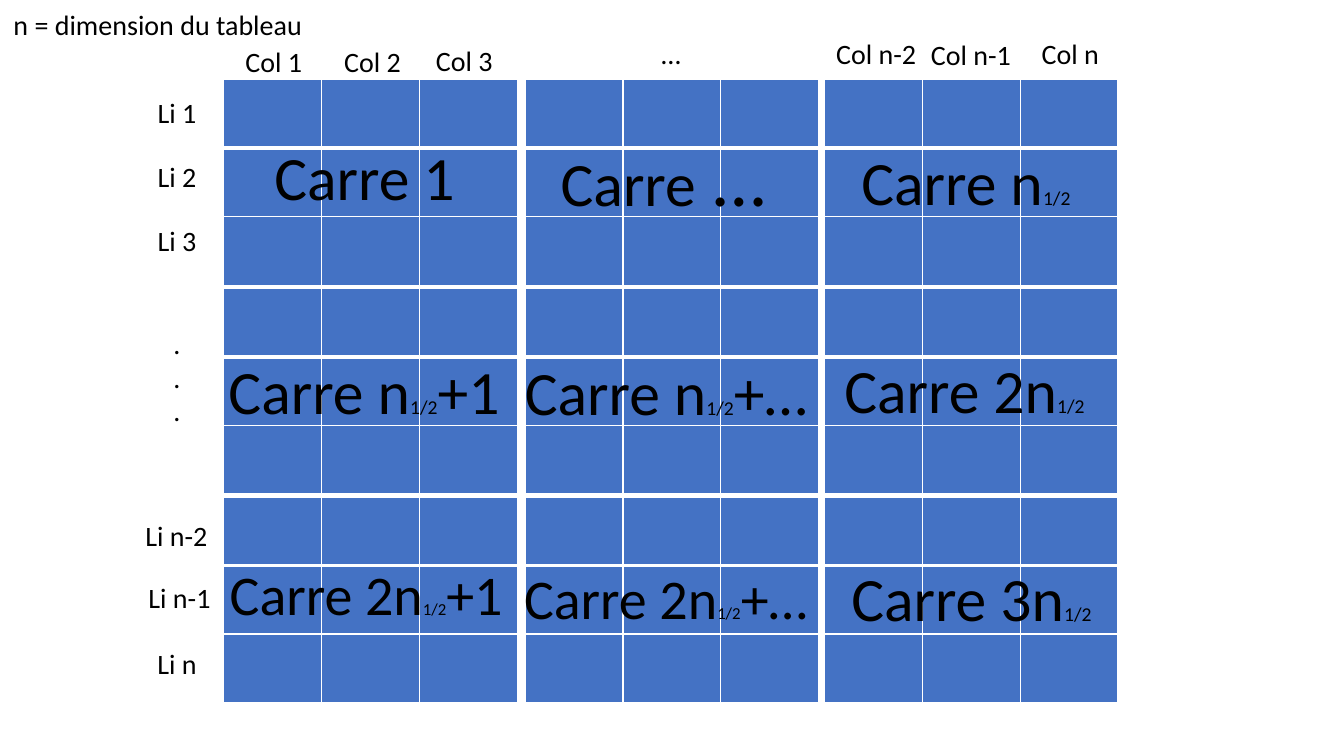
from dataclasses import dataclass

from lxml import etree
from pptx import Presentation
from pptx import util as u
from pptx.dml.color import RGBColor
from pptx.enum import text
from pptx.oxml import ns


@dataclass(frozen=True)
class Theme:
    """Colours, font, type sizes and border widths."""
    font: str = "Calibri"
    ink: str = "000000"
    cell: str = "4472C4"
    border: str = "FFFFFF"
    label: int = 20
    square: int = 44
    square_small: int = 40
    dots: int = 54
    root: int = 14
    root_small: int = 12
    thin: float = 1
    thick: float = 3


class Sheet:
    """The current slide and the style it is drawn in."""

    def __init__(self, s, theme):
        """Keep the slide and the theme."""
        self.s, self.theme = s, theme

    def add_text(self, box, paragraphs, wrap=False):
        """Add centred text; each paragraph is a list of (words, size) runs."""
        sp = self.s.shapes.add_textbox(*map(u.Inches, box))
        tf = sp.text_frame
        tf.word_wrap = wrap
        tf.auto_size = text.MSO_AUTO_SIZE.SHAPE_TO_FIT_TEXT
        for i, runs in enumerate(paragraphs):
            p = tf.add_paragraph() if i else tf.paragraphs[0]
            p.alignment = text.PP_ALIGN.CENTER
            for words, size in runs:
                r = p.add_run()
                r.text = words
                r.font.name, r.font.size = self.theme.font, u.Pt(size)
                r.font.color.rgb = RGBColor.from_string(self.theme.ink)

    def label(self, box, *lines, wrap=False):
        """Add a label, one paragraph a line."""
        self.add_text(box, [[(line, self.theme.label)] for line in lines], wrap)

    def edge(self, cell, side, width):
        """Draw one border of a table cell."""
        ln = etree.SubElement(cell._tc.get_or_add_tcPr(), ns.qn("a:ln" + side),
                              w=str(u.Pt(width)))
        fill = etree.SubElement(ln, ns.qn("a:solidFill"))
        etree.SubElement(fill, ns.qn("a:srgbClr"), val=self.theme.border)

    def grid(self, left, top, size=3, col=0.97, row=0.68):
        """Add a square table with a thick line under its first row."""
        t = self.theme
        table = self.s.shapes.add_table(
            size, size, u.Inches(left), u.Inches(top),
            u.Inches(size * col), u.Inches(size * row)).table
        table.first_row = table.horz_banding = False
        for column in table.columns:
            column.width = u.Inches(col)
        for i, line in enumerate(table.rows):
            line.height = u.Inches(row)
            heavy = {0: "B", 1: "T"}.get(i)
            for cell in line.cells:
                for side in "LRTB":
                    self.edge(cell, side, t.thick if side == heavy else t.thin)
                cell.fill.solid()
                cell.fill.fore_color.rgb = RGBColor.from_string(t.cell)


theme = Theme()
prs = Presentation()
prs.slide_width, prs.slide_height = u.Inches(13.33), u.Inches(7.5)
sheet = Sheet(prs.slides.add_slide(prs.slide_layouts[6]), theme)

for top in (0.79, 2.86, 4.93):
    for left in (2.22, 5.21, 8.18):
        sheet.grid(left, top)

big, small = theme.square, theme.square_small
root, root_small = ("1/2", theme.root), ("1/2", theme.root_small)
squares = [
    ((2.61, 1.33, 2.15, 0.84), [("Carre 1 ", big)], False),
    ((5.45, 1.25, 2.42, 1.01), [("Carre", big), (" … ", theme.dots)], False),
    ((8.43, 1.38, 2.44, 0.84), [("Carre n", big), root, (" ", big)], False),
    ((2.15, 3.45, 3.06, 0.84), [("Carre n", big), root, ("+1 ", big)], False),
    ((5.09, 3.46, 3.17, 0.84), [("Carre n", big), root, ("+… ", big)], False),
    ((8.26, 3.44, 2.75, 0.84), [("Carre 2n", big), root, (" ", big)], False),
    ((2.01, 5.5, 3.37, 0.77),
     [("Carre 2n", small), root_small, ("+1 ", small)], True),
    ((5.04, 5.54, 3.25, 0.77),
     [("Carre 2n", small), root_small, ("+… ", small)], True),
    ((8.33, 5.51, 2.61, 0.84), [("Carre 3n", big), root], False),
]
for box, runs, wrap in squares:
    sheet.add_text(box, [runs], wrap)

LABEL_HEIGHT = 0.44
labels = [
    ("Col 1", 2.33, 0.39, 0.77), ("Col 2", 3.31, 0.39, 0.77),
    ("Col 3", 4.22, 0.38, 0.77), ("Col n-2", 8.19, 0.31, 1),
    ("Col n-1", 9.13, 0.32, 1), ("Col n", 10.23, 0.31, 0.77),
    ("Li 1", 1.46, 0.9, 0.59), ("Li 2", 1.46, 1.53, 0.59),
    ("Li 3", 1.46, 2.17, 0.59), ("Li n-2", 1.34, 5.09, 0.82),
    ("Li n-1", 1.37, 5.71, 0.82), ("Li n", 1.46, 6.36, 0.59),
    ("n = dimension du tableau", 0.02, 0.03, 3.09),
]
for words, left, top, width in labels:
    sheet.label((left, top, width, LABEL_HEIGHT), words)
sheet.label((5.22, 0.31, 2.87, LABEL_HEIGHT), "…", wrap=True)
sheet.label((1.62, 3.19, 0.27, 1.11), *"...")

prs.save("out.pptx")
